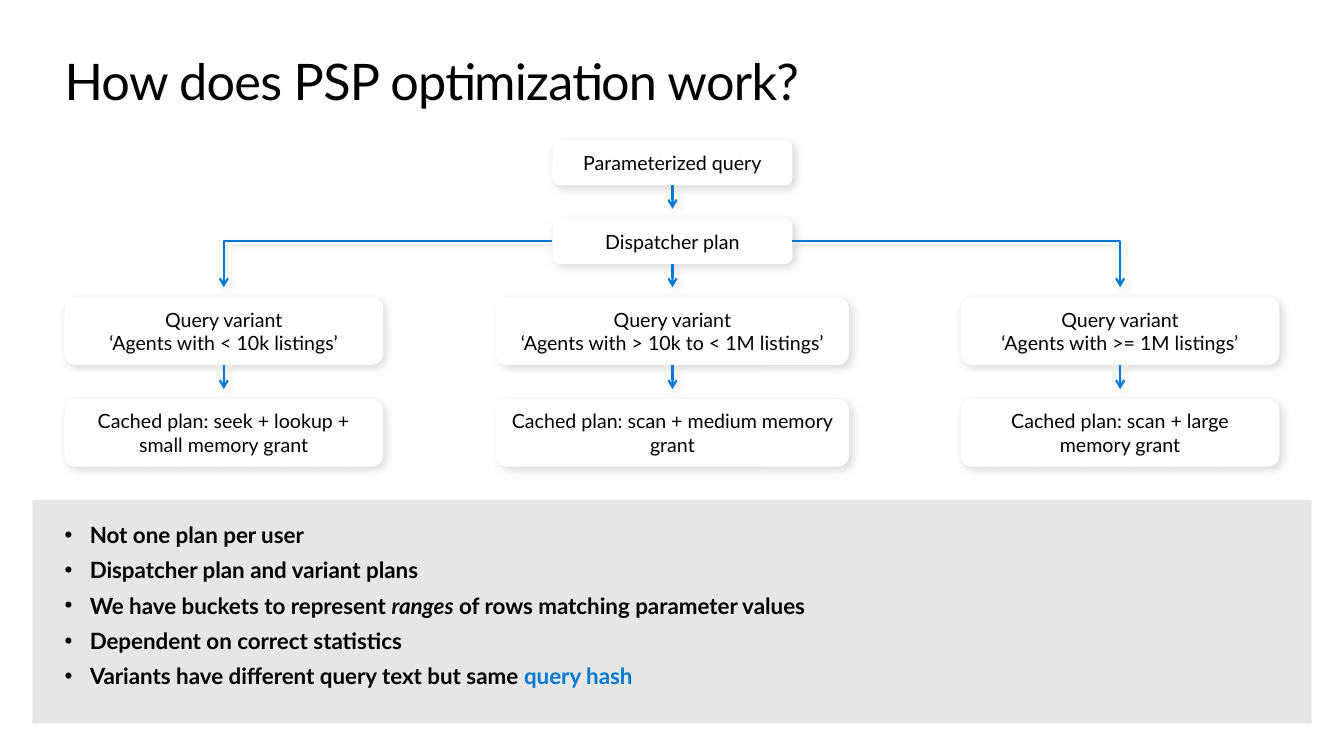
from lxml.etree import SubElement
from pptx import Presentation
from pptx.dml.color import RGBColor
from pptx.enum.shapes import MSO_CONNECTOR as Connector, MSO_SHAPE as Shape
from pptx.enum.text import MSO_ANCHOR as Anchor, PP_ALIGN as Align
from pptx.oxml.ns import qn
from pptx.util import Inches, Pt

COLORS = {"text": "000000", "accent": "0078D4", "panel": "E6E6E6", "card": "FFFFFF"}
FONT = "Lato"
CENTER = 6.67
ARROW_GAP = 0.1
VARIANTS = [
    (2.22, 3.16, "‘Agents with < 10k listings’", "seek + lookup + small memory grant"),
    (CENTER, 3.5, "‘Agents with > 10k to < 1M listings’", "scan + medium memory grant"),
    (11.11, 3.16, "‘Agents with >= 1M listings’", "scan + large memory grant"),
]
BULLETS = [
    [("Not one plan per user", "")],
    [("Dispatcher plan and variant plans", "")],
    [("We have buckets to represent ", ""), ("ranges", "italic"),
     (" of rows matching parameter values", "")],
    [("Dependent on correct statistics", "")],
    [("Variants have different query text but same ", ""), ("query hash", "accent")],
]


def color(name):
    """Return the named colour."""
    return RGBColor.from_string(COLORS[name])


def set_font(span, size, tone="text"):
    """Style a run with the slide font."""
    span.font.name = FONT
    span.font.size = Pt(size)
    span.font.color.rgb = color(tone)


def add_shadow(shape):
    """Give a shape or connector a soft diagonal shadow."""
    properties = shape._element.spPr
    effects = properties.find(qn("a:effectLst"))
    if effects is None:
        effects = SubElement(properties, qn("a:effectLst"))
    shadow = SubElement(effects, qn("a:outerShdw"), blurRad=str(Pt(7)), dist=str(Pt(3)),
                        dir="2700000", algn="tl", rotWithShape="0")
    tone = SubElement(shadow, qn("a:srgbClr"), val=COLORS["text"])
    SubElement(tone, qn("a:alpha"), val="15000")


def style_arrow(shape):
    """Draw a line in the accent colour with an open arrowhead."""
    shape.line.color.rgb = color("accent")
    shape.line.width = Pt(1.5)
    SubElement(shape.line._get_or_add_ln(), qn("a:tailEnd"), type="arrow")
    add_shadow(shape)


def add_text_box(page, left, top, width, height):
    """Add a wrapping text box without margins and return its frame."""
    frame = page.shapes.add_textbox(
        Inches(left), Inches(top), Inches(width), Inches(height)).text_frame
    frame.word_wrap = True
    frame.margin_left = frame.margin_top = frame.margin_right = frame.margin_bottom = 0
    return frame


def add_title(page, left, top, width, height):
    """Add the slide title."""
    frame = add_text_box(page, left, top, width, height)
    frame.text = "How does PSP optimization work?"
    span = frame.paragraphs[0].runs[0]
    set_font(span, 36)
    span._r.get_or_add_rPr().set("spc", "-50")


def add_card(page, middle, top, width, height, text):
    """Add a white rounded card centred on the given x."""
    card = page.shapes.add_shape(Shape.ROUNDED_RECTANGLE, Inches(middle - width / 2),
                                 Inches(top), Inches(width), Inches(height))
    card.shadow.inherit = False
    card.fill.solid()
    card.fill.fore_color.rgb = color("card")
    card.line.fill.background()
    add_shadow(card)
    frame = card.text_frame
    frame.word_wrap = True
    frame.vertical_anchor = Anchor.MIDDLE
    frame.margin_top = frame.margin_bottom = Inches(0.16)
    frame.text = text
    para = frame.paragraphs[0]
    para.alignment = Align.CENTER
    for span in para.runs:
        set_font(span, 14)
    return card


def add_down_arrow(page, upper, lower):
    """Point from the bottom of one card to just above the next."""
    x = upper.left + upper.width // 2
    arrow = page.shapes.add_connector(Connector.STRAIGHT, x, upper.top + upper.height,
                                      x, lower.top - Inches(ARROW_GAP))
    arrow.begin_connect(upper, 2)
    style_arrow(arrow)


def add_elbow_arrow(page, source, target):
    """Bend from the side of one card down to just above another."""
    x = target.left + target.width // 2
    y = source.top + source.height // 2
    start = source.left if x < source.left else source.left + source.width
    builder = page.shapes.build_freeform(start, y)
    builder.add_line_segments([(x, y), (x, target.top - Inches(ARROW_GAP))], close=False)
    elbow = builder.convert_to_shape()
    elbow.shadow.inherit = False
    elbow.fill.background()
    style_arrow(elbow)


def add_flow(page, top):
    """Add the tree from query to dispatcher, variants and cached plans."""
    query = add_card(page, CENTER, top, 2.38, 0.45, "Parameterized query")
    dispatcher = add_card(page, CENTER, top + 0.78, 2.38, 0.45, "Dispatcher plan")
    add_down_arrow(page, query, dispatcher)
    for middle, width, agents, plan in VARIANTS:
        variant = add_card(page, middle, top + 1.56, width, 0.67, f"Query variant\v{agents}")
        cached = add_card(page, middle, top + 2.57, width, 0.67, f"Cached plan: {plan}")
        connect = add_down_arrow if middle == CENTER else add_elbow_arrow
        connect(page, dispatcher, variant)
        add_down_arrow(page, variant, cached)


def add_summary(page, left, top, width, height):
    """Add the grey panel with its bullet list."""
    panel = page.shapes.add_shape(Shape.RECTANGLE, Inches(left), Inches(top),
                                  Inches(width), Inches(height))
    panel.shadow.inherit = False
    panel.fill.solid()
    panel.fill.fore_color.rgb = color("panel")
    panel.line.fill.background()
    frame = add_text_box(page, left + 0.32, top + 0.21, 8.75, 1.68)
    for index, parts in enumerate(BULLETS):
        para = frame.add_paragraph() if index else frame.paragraphs[0]
        para.space_after = Pt(6)
        properties = para._p.get_or_add_pPr()
        properties.set("marL", str(Inches(0.25)))
        properties.set("indent", str(-Inches(0.25)))
        SubElement(properties, qn("a:buFont"), typeface="Arial")
        SubElement(properties, qn("a:buChar"), char="•")
        for text, style in parts:
            span = para.add_run()
            span.text = text
            set_font(span, 16, "accent" if style == "accent" else "text")
            span.font.bold = True
            span.font.italic = style == "italic"


def main():
    """Build and save the slide."""
    deck = Presentation()
    deck.slide_width = Inches(13.33)
    deck.slide_height = Inches(7.5)
    page = deck.slides.add_slide(deck.slide_layouts[6])
    add_title(page, 0.64, 0.5, 12.05, 0.61)
    add_summary(page, 0.32, 4.96, 12.69, 2.22)
    add_flow(page, 1.39)
    deck.save("out.pptx")


if __name__ == "__main__":
    main()
